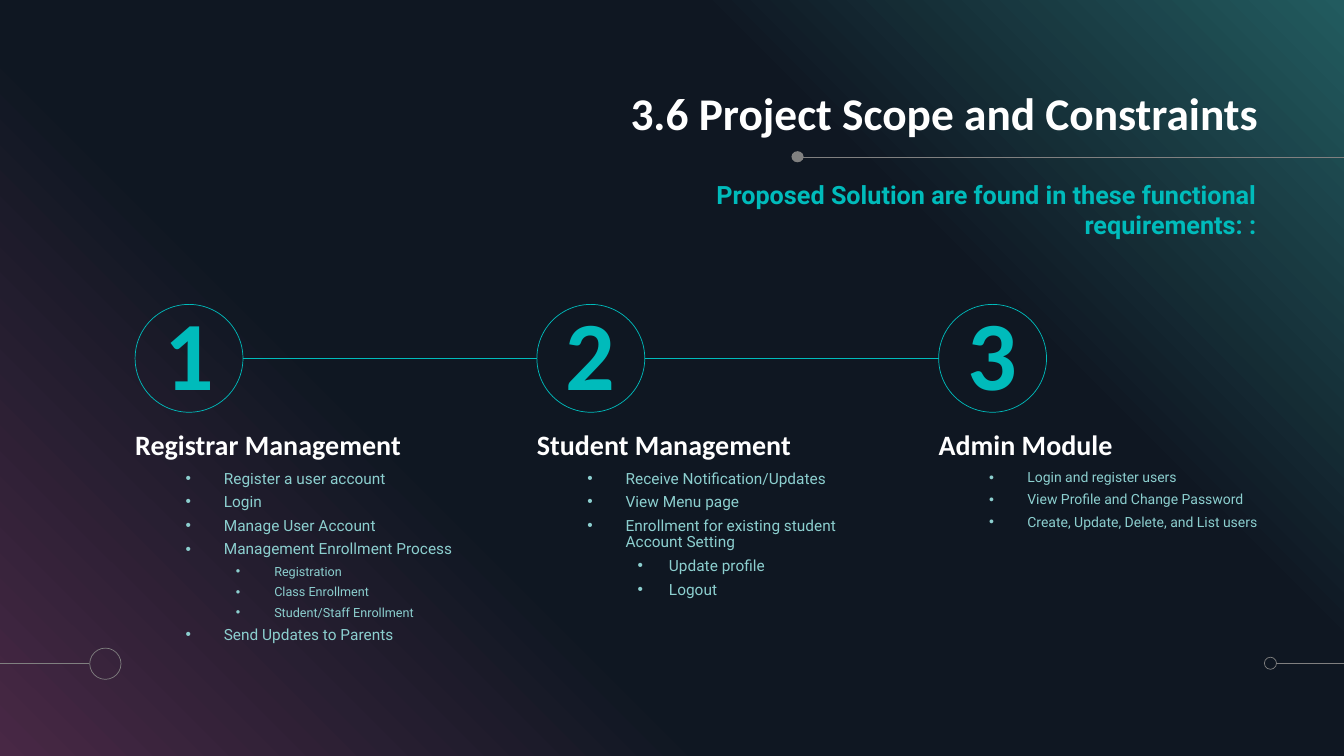
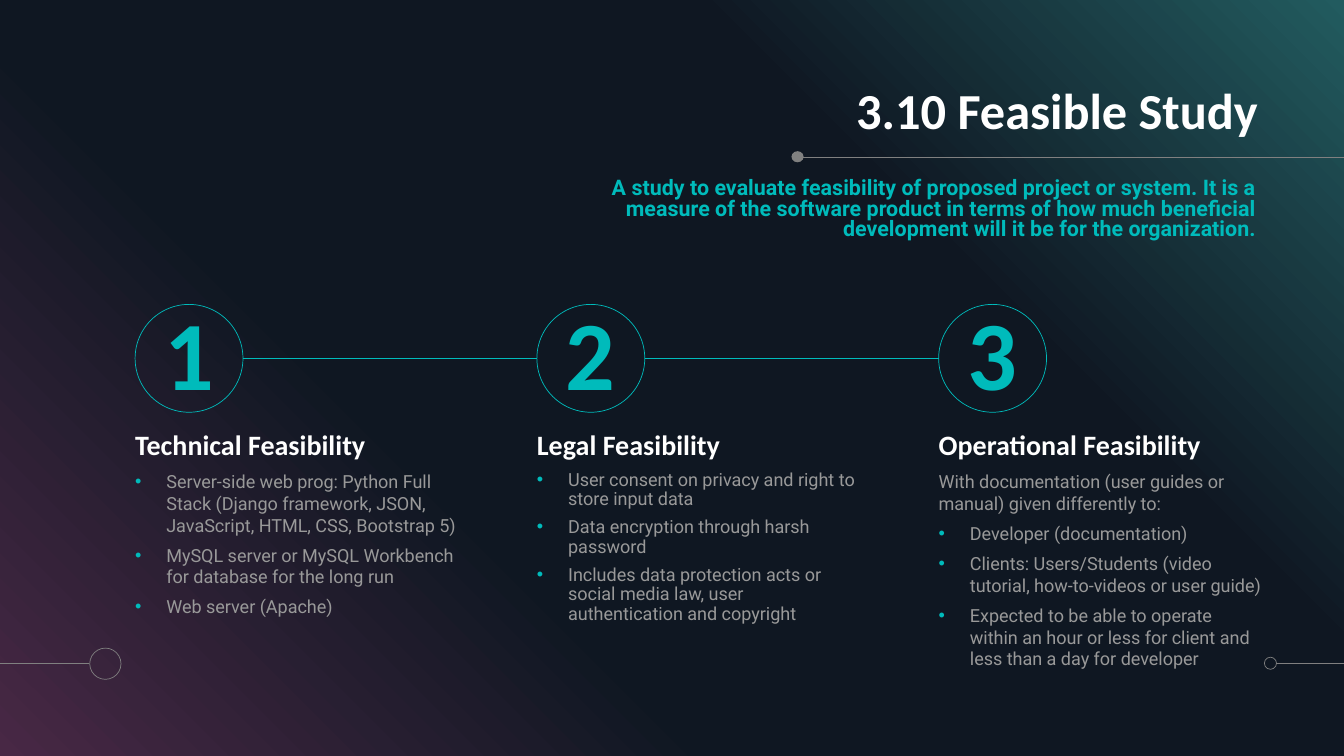
from dataclasses import dataclass

from lxml import etree
from pptx import Presentation
from pptx.dml.color import RGBColor
from pptx.enum.shapes import MSO_CONNECTOR, MSO_SHAPE
from pptx.enum.text import MSO_ANCHOR, PP_ALIGN
from pptx.oxml.ns import qn
from pptx.util import Inches, Pt

STRAIGHT = MSO_CONNECTOR.STRAIGHT
RECTANGLE, OVAL = MSO_SHAPE.RECTANGLE, MSO_SHAPE.OVAL
TOP, MIDDLE, BOTTOM = MSO_ANCHOR.TOP, MSO_ANCHOR.MIDDLE, MSO_ANCHOR.BOTTOM
LEFT, CENTER, RIGHT = PP_ALIGN.LEFT, PP_ALIGN.CENTER, PP_ALIGN.RIGHT

WIDTH, HEIGHT = 13.33, 7.5
FIRST_COLUMN, LAST_COLUMN, COLUMN_WIDTH = 1.34, 9.31, 3.22
CIRCLE_TOP, CIRCLE_SIZE = 3.02, 1.07


@dataclass(frozen=True)
class Theme:
    accent: str = "00BBBB"
    white: str = "FFFFFF"
    gray: str = "999999"
    pale_teal: str = "8CCFCF"
    ornament: str = "808080"
    backdrop: tuple = ((0, "482845"), (34, "0F1722"), (69, "0F1722"), (100, "225B5F"))
    heading_font: str = "Calibri"
    body_font: str = "Roboto"
    number_size: float = 70
    heading_size: float = 20
    line_width: float = 0.5


THEME = Theme()


@dataclass(frozen=True)
class TextStyle:
    size: float
    color: str
    font: str = THEME.body_font
    bold: bool = False
    align: PP_ALIGN = LEFT
    spacing: float = 1.0
    before: float = 0
    level: int = 0
    indent: float = 0
    hanging: float = 0
    bullet_color: str = ""


def heading_style(size, color=THEME.white, align=LEFT):
    return TextStyle(size, color, THEME.heading_font, True, align, 0.9)


def subtitle_style(size, spacing):
    return TextStyle(size, THEME.accent, bold=True, align=RIGHT, spacing=spacing)


def task_style(size, level=1, indent=0.88, hanging=0.38):
    return TextStyle(size, THEME.pale_teal, spacing=0.9, before=5, level=level,
                     indent=indent, hanging=hanging, bullet_color=THEME.pale_teal)


def finding_style(spacing=1.0):
    return TextStyle(12.9, THEME.gray, spacing=spacing, before=6,
                     indent=0.31, hanging=0.31, bullet_color=THEME.accent)


NUMBER = heading_style(THEME.number_size, THEME.accent, CENTER)
HEADING = heading_style(THEME.heading_size)
TASK = task_style(11)
SUBTASK = task_style(9, 2, 1.38)
SETTING = task_style(11, 2, 1.31, 0.31)
ADMIN_TASK = task_style(10)
FINDING = finding_style()
TIGHT_FINDING = finding_style(0.9)
INTRO = TextStyle(12.9, THEME.gray)


def add_bullet(paragraph, style):
    properties = paragraph._p.get_or_add_pPr()
    properties.set("marL", str(Inches(style.indent)))
    properties.set("indent", str(-Inches(style.hanging)))
    color = etree.SubElement(properties, qn("a:buClr"))
    etree.SubElement(color, qn("a:srgbClr"), val=style.bullet_color)
    etree.SubElement(properties, qn("a:buFont"), typeface="Arial")
    etree.SubElement(properties, qn("a:buChar"), char="•")


class Deck:
    def __init__(self, theme):
        self.theme = theme
        self.presentation = Presentation()
        self.presentation.slide_width = Inches(WIDTH)
        self.presentation.slide_height = Inches(HEIGHT)
        self.slide = None

    def start_slide(self):
        """Add a slide with the backdrop and ornaments that all slides share."""
        blank = self.presentation.slide_layouts[6]
        self.slide = self.presentation.slides.add_slide(blank)
        self.backdrop()
        ornament = self.theme.ornament
        self.line(WIDTH, 1.56, 7.94, 1.56, ornament)
        self.shape(OVAL, 7.85, 1.5, 0.12, 0.11, fill=ornament)
        self.line(12.66, 6.58, WIDTH, 6.58, ornament)
        self.shape(OVAL, 12.54, 6.52, 0.12, 0.12, outline=ornament)
        self.line(0, 6.58, 0.88, 6.58, ornament)
        self.shape(OVAL, 0.89, 6.43, 0.31, 0.31, outline=ornament)

    def backdrop(self):
        fill = self.shape(RECTANGLE, 0, 0, WIDTH, HEIGHT).fill
        fill.gradient()
        fill.gradient_angle = 45
        stops = fill._fill._gradFill.find(qn("a:gsLst"))
        for stop in list(stops):
            stops.remove(stop)
        for percent, color in self.theme.backdrop:
            stop = etree.SubElement(stops, qn("a:gs"), pos=str(percent * 1000))
            etree.SubElement(stop, qn("a:srgbClr"), val=color)

    def shape(self, kind, left, top, width, height, fill=None, outline=None):
        shape = self.slide.shapes.add_shape(
            kind, Inches(left), Inches(top), Inches(width), Inches(height))
        shape.shadow.inherit = False
        if fill:
            shape.fill.solid()
            shape.fill.fore_color.rgb = RGBColor.from_string(fill)
        else:
            shape.fill.background()
        if outline:
            shape.line.color.rgb = RGBColor.from_string(outline)
            shape.line.width = Pt(self.theme.line_width)
        else:
            shape.line.fill.background()
        return shape

    def line(self, x1, y1, x2, y2, color):
        line = self.slide.shapes.add_connector(
            STRAIGHT, Inches(x1), Inches(y1), Inches(x2), Inches(y2))
        line.line.color.rgb = RGBColor.from_string(color)
        line.line.width = Pt(self.theme.line_width)
        etree.SubElement(line._element.spPr, qn("a:effectLst"))

    def text(self, left, top, width, height, items, anchor=TOP):
        box = self.slide.shapes.add_textbox(
            Inches(left), Inches(top), Inches(width), Inches(height))
        self.set_paragraphs(box.text_frame, items, anchor)

    def set_paragraphs(self, frame, items, anchor):
        """Fill a frame with (text, style) paragraphs."""
        frame.word_wrap = True
        frame.vertical_anchor = anchor
        frame.margin_left = frame.margin_right = 0
        frame.margin_top = frame.margin_bottom = 0
        frame.text = "\n".join(text for text, _ in items)
        for index, (paragraph, (_, style)) in enumerate(zip(frame.paragraphs, items)):
            if style.bullet_color:
                add_bullet(paragraph, style)
            paragraph.level = style.level
            paragraph.alignment = style.align
            paragraph.line_spacing = style.spacing
            paragraph.space_before = Pt(style.before if index else 0)
            for run in paragraph.runs:
                run.font.name = style.font
                run.font.size = Pt(style.size)
                run.font.bold = style.bold
                run.font.color.rgb = RGBColor.from_string(style.color)

    def header(self, title, title_size, subtitle, style):
        title_item = (title, heading_style(title_size, align=RIGHT))
        self.text(5.25, 0.77, 7.23, 0.62, [title_item], BOTTOM)
        self.text(5.58, 1.78, 6.88, 0.62, [(subtitle, style)])

    def numbered_columns(self, columns):
        """Draw linked number circles, each above a heading and its paragraphs."""
        pitch = (LAST_COLUMN - FIRST_COLUMN) / (len(columns) - 1)
        middle = CIRCLE_TOP + CIRCLE_SIZE / 2
        for index, (heading, items) in enumerate(columns):
            left = FIRST_COLUMN + index * pitch
            if index:
                self.line(left - pitch + CIRCLE_SIZE, middle, left, middle,
                          self.theme.accent)
            circle = self.shape(OVAL, left, CIRCLE_TOP, CIRCLE_SIZE, CIRCLE_SIZE,
                                outline=self.theme.accent)
            self.set_paragraphs(circle.text_frame, [(str(index + 1), NUMBER)], MIDDLE)
            self.text(left, 4.22, COLUMN_WIDTH, 0.36, [(heading, HEADING)], BOTTOM)
            self.text(left, 4.67, COLUMN_WIDTH, 2.06, items)


SCOPE_COLUMNS = [
    ("Registrar Management", [
        ("Register a user account", TASK),
        ("Login", TASK),
        ("Manage User Account", TASK),
        ("Management Enrollment Process", TASK),
        ("Registration", SUBTASK),
        ("Class Enrollment", SUBTASK),
        ("Student/Staff Enrollment", SUBTASK),
        ("Send Updates to Parents", TASK),
    ]),
    ("Student Management", [
        ("Receive Notification/Updates", TASK),
        ("View Menu page", TASK),
        ("Enrollment for existing student Account Setting", TASK),
        ("Update profile", SETTING),
        ("Logout", SETTING),
    ]),
    ("Admin Module", [
        ("Login and register users", ADMIN_TASK),
        ("View Profile and Change Password", ADMIN_TASK),
        ("Create, Update, Delete, and List users", ADMIN_TASK),
    ]),
]

FEASIBILITY_COLUMNS = [
    ("Technical Feasibility", [
        ("Server-side web prog: Python Full Stack (Django framework, JSON, "
         "JavaScript, HTML, CSS, Bootstrap 5)", FINDING),
        ("MySQL server or MySQL Workbench for database for the long run", FINDING),
        ("Web server (Apache)", FINDING),
    ]),
    ("Legal Feasibility", [
        ("User consent on privacy and right to store input data", TIGHT_FINDING),
        ("Data encryption through harsh password", TIGHT_FINDING),
        ("Includes data protection acts or social media law, user "
         "authentication and copyright", TIGHT_FINDING),
    ]),
    ("Operational Feasibility", [
        ("With documentation (user guides or manual) given differently to:", INTRO),
        ("Developer (documentation)", FINDING),
        ("Clients: Users/Students (video tutorial, how-to-videos or user guide)",
         FINDING),
        ("Expected to be able to operate within an hour or less for client and "
         "less than a day for developer", FINDING),
    ]),
]


def main():
    deck = Deck(THEME)

    deck.start_slide()
    deck.header("3.6 Project Scope and Constraints", 32.4,
                "Proposed Solution are found in these functional requirements: :",
                subtitle_style(18, 1.0))
    deck.numbered_columns(SCOPE_COLUMNS)

    deck.start_slide()
    deck.header("3.10 Feasible Study", 36,
                "A study to evaluate feasibility of proposed project or system. It is "
                "a measure of the software product in terms of how much beneficial "
                "development will it be for the organization.",
                subtitle_style(15.3, 0.8))
    deck.numbered_columns(FEASIBILITY_COLUMNS)

    deck.presentation.save("out.pptx")


if __name__ == "__main__":
    main()
